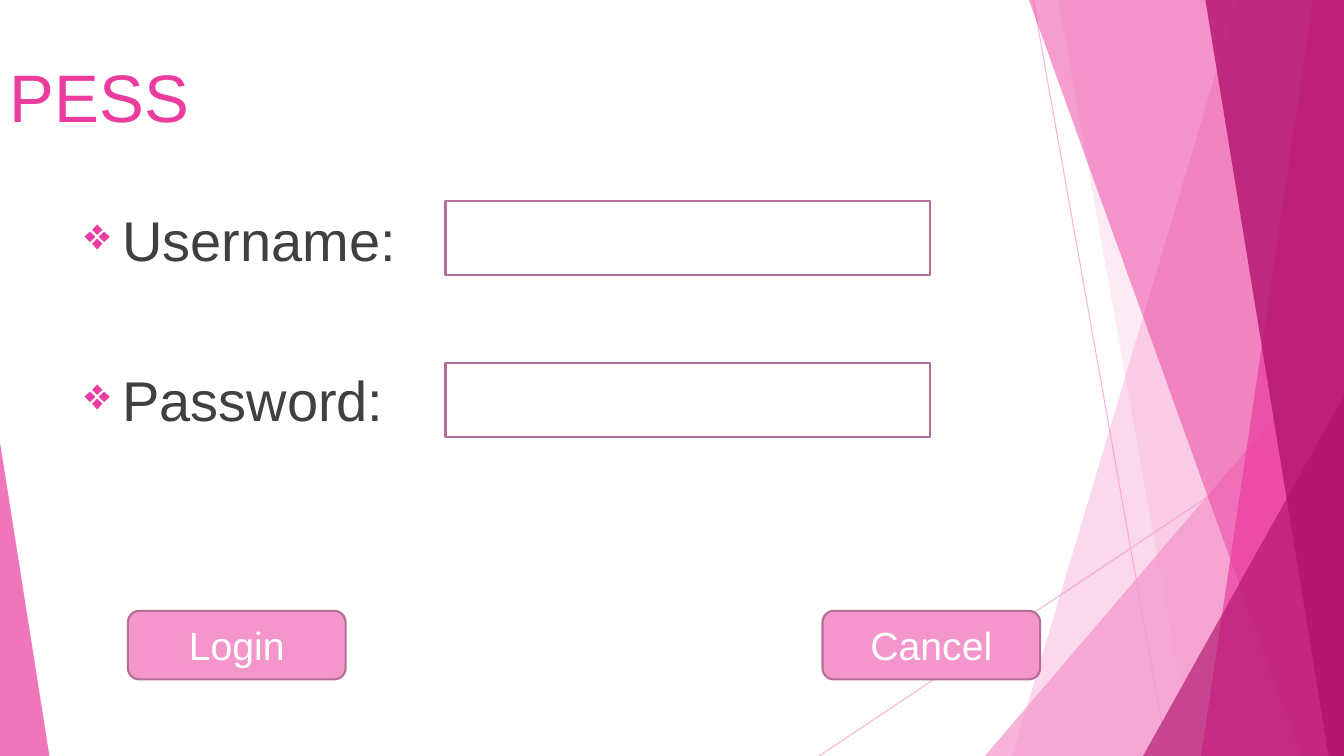
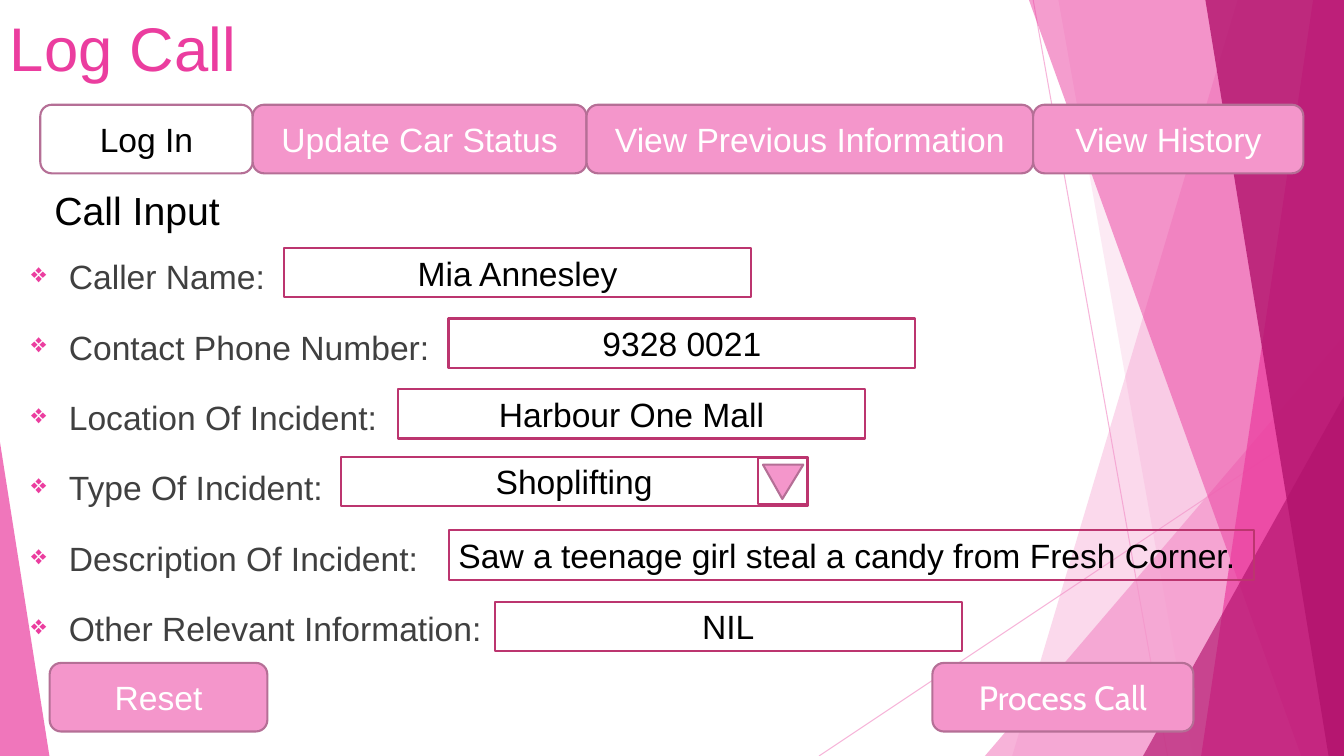
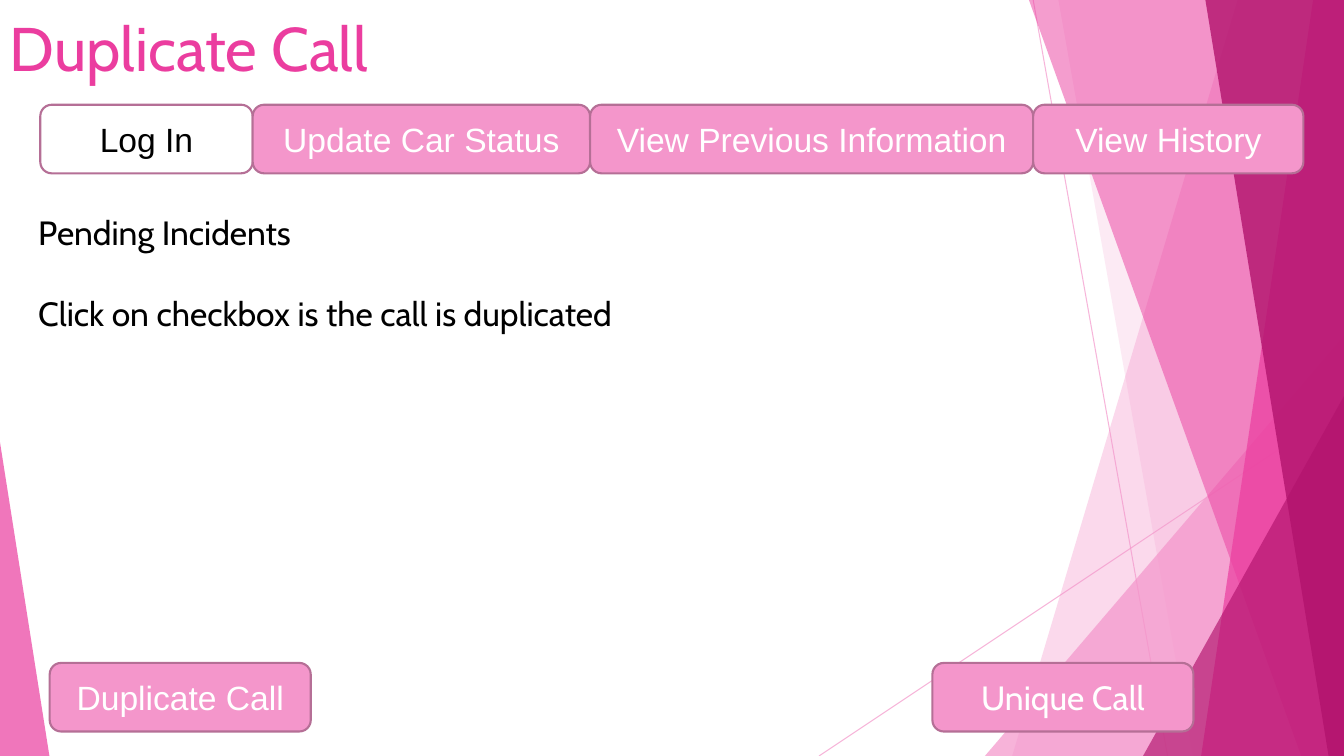
from lxml import etree
from pptx import Presentation
from pptx.dml.color import RGBColor
from pptx.enum import shapes, text
from pptx.oxml import ns
from pptx.util import Pt

HUE = {"rose": "F496CB", "pink": "EB3D9F", "plum": "B2136D", "edge": "B56F96",
       "frame": "BC356F", "grey": "404040", "black": "000000", "white": "FFFFFF"}
KIND = shapes.MSO_SHAPE
FIELD = KIND.FLOWCHART_PROCESS
BUTTON = KIND.FLOWCHART_ALTERNATE_PROCESS


def paint(shape, fill=None, line=None, alpha=100):
    shape.shadow.inherit = False
    if fill:
        shape.fill.solid()
        shape.fill.fore_color.rgb = RGBColor.from_string(HUE[fill])
    else:
        shape.fill.background()
    if line:
        shape.line.color.rgb = RGBColor.from_string(HUE[line])
        shape.line.width = Pt(1.5)
    else:
        shape.line.fill.background()
    if alpha < 100:
        for clr in shape._element.spPr.iter(ns.qn("a:srgbClr")):
            etree.SubElement(clr, ns.qn("a:alpha")).set("val", str(alpha * 1000))


def say(words, slide, box, kind=None, fill=None, line=None, size=24, font="Arial",
        color="black", center=True, middle=True, gap=0, lead=None, bullet=False):
    spot = [Pt(n) for n in box]
    if kind:
        shape = slide.shapes.add_shape(kind, *spot)
        paint(shape, fill, line)
    else:
        shape = slide.shapes.add_textbox(*spot)
    frame = shape.text_frame
    frame.word_wrap = True
    frame.vertical_anchor = text.MSO_ANCHOR.MIDDLE if middle else text.MSO_ANCHOR.TOP
    frame.text = words
    for row, para in enumerate(frame.paragraphs):
        para.alignment = text.PP_ALIGN.CENTER if center else text.PP_ALIGN.LEFT
        para.font.size = Pt(size)
        para.font.name = font
        para.font.color.rgb = RGBColor.from_string(HUE[color])
        if row and gap:
            para.space_before = Pt(gap)
        if lead:
            para.line_spacing = lead
        if bullet:
            props = para._p.get_or_add_pPr()
            props.set("marL", str(Pt(27)))
            props.set("indent", str(Pt(-27)))
            tint = etree.SubElement(props, ns.qn("a:buClr"))
            etree.SubElement(tint, ns.qn("a:srgbClr")).set("val", HUE["pink"])
            etree.SubElement(props, ns.qn("a:buSzPct")).set("val", "80000")
            etree.SubElement(props, ns.qn("a:buChar")).set("char", "❖")
    return shape


deck = Presentation()
deck.slide_width, deck.slide_height = Pt(960), Pt(540)

rays = [(738, 0, 834, 540), (960, 290, 585, 540)]
bands = [
    ("quad", (884, 723), "rose", 36),
    ("quad", (756, 852), "rose", 20),
    ("right", (703.5, 240), "rose", 72),
    ("quad", (735, 929.5), "pink", 50),
    ("quad", (938, 858), "pink", 70),
    ("quad", (861, 949), "plum", 80),
    ("right", (816.5, 283), "plum", 66),
    ("left", (35.3, 316), "pink", 70),
]
titles = [
    ("PESS", (0, 28, 960, 80), 48, "Arial"),
    ("Log Call", (0, 0, 955, 67), 44, "Arial"),
    ("Duplicate Call", (0, 0, 955, 67), 44, "Cabin"),
]

pages = []
for name, box, size, font in titles:
    page = deck.slides.add_slide(deck.slide_layouts[6])
    pages.append(page)
    for ray in rays:
        link = page.shapes.add_connector(
            shapes.MSO_CONNECTOR.STRAIGHT, *[Pt(n) for n in ray])
        link.line.color.rgb = RGBColor.from_string(HUE["rose"])
        link.line.width = Pt(0.75)
        for clr in link._element.spPr.iter(ns.qn("a:srgbClr")):
            etree.SubElement(clr, ns.qn("a:alpha")).set("val", "70000")
        etree.SubElement(link._element.spPr, ns.qn("a:effectLst"))
    for form, (a, b), hue, alpha in bands:
        if form == "quad":
            pen = page.shapes.build_freeform(Pt(a), 0)
            pen.add_line_segments(
                [(Pt(960), 0), (Pt(960), Pt(540)), (Pt(b), Pt(540))], close=True)
            band = pen.convert_to_shape()
        else:
            left, wide = (a, 960 - a) if form == "right" else (0, a)
            band = page.shapes.add_shape(
                KIND.ISOSCELES_TRIANGLE, Pt(left), Pt(b), Pt(wide), Pt(540 - b))
            band.adjustments[0] = 1 if form == "right" else 0
        paint(band, hue, alpha=alpha)
    say(name, page, box, size=size, font=font, color="pink", center=False)

login, log, twin = pages

say("Username:\nPassword:", login, (53.3, 143.3, 265, 178.5), size=40, color="grey",
    center=False, middle=False, gap=66, bullet=True)
for top in (143.3, 259.2):
    say("", login, (318.2, top, 346.3, 53.3), kind=FIELD, fill="white", line="edge")

say("Caller Name:\nContact Phone Number:\nLocation Of Incident:\nType Of Incident:\n"
    "Description Of Incident:\nOther Relevant Information:",
    log, (15.1, 167.8, 676.8, 305.3), color="grey", center=False, middle=False,
    gap=10, lead=1.4, bullet=True)

buttons = [
    (login, "Login", 91.4, 436.3, 155.5, 28, "Arial"),
    (login, "Cancel", 587.5, 436.3, 155.5, 28, "Arial"),
    (log, "Reset", 35.5, 473.5, 155.5, 24, "Arial"),
    (log, "Process Call", 666, 473.5, 186.5, 24, "Cabin"),
    (twin, "Duplicate Call", 35.5, 473.5, 186.5, 24, "Arial"),
    (twin, "Unique Call", 666, 473.5, 186.5, 24, "Cabin"),
]
for page, label, left, top, wide, size, font in buttons:
    say(label, page, (left, top, wide, 49), kind=BUTTON, fill="rose", line="edge",
        size=size, font=font, color="white")

tabs = ["Log In", "Update Car Status", "View Previous Information", "View History"]
for page, split in ((log, 419), (twin, 421.5)):
    edges = [28.8, 180.5, split, 738, 931]
    for tab, left, right in zip(tabs, edges, edges[1:]):
        live = tab == "Log In"
        say(tab, page, (left, 74.8, right - left, 49), kind=BUTTON, line="edge",
            fill=None if live else "rose", color="black" if live else "white")

say("Call Input", log, (20.2, 121.7, 155.5, 56.2), kind=BUTTON, size=28)
fields = [
    ("Mia Annesley", 203, 177.1, 333.4),
    ("9328 0021", 320.4, 227.5, 333.4),
    ("Harbour One Mall", 284.4, 277.9, 333.4),
    ("Shoplifting", 243.4, 326.2, 333.4),
    ("Saw a teenage girl steal a candy from Fresh Corner.", 320.4, 378.7, 575.3),
    ("NIL", 353.5, 429.8, 333.4),
]
for value, left, top, wide in fields:
    say(value, log, (left, top, wide, 35.3), kind=FIELD, line="frame",
        center=wide < 400)
say("", log, (541.4, 326.9, 36, 33.1), kind=FIELD, line="frame")
arrow = say("", log, (545, 331.9, 28.8, 24.5), kind=KIND.ISOSCELES_TRIANGLE,
            fill="rose", line="edge")
arrow.rotation = 180
arrow.adjustments[0] = 0.52

say("Pending Incidents\nClick on checkbox is the call is duplicated", twin,
    (20.2, 147.6, 884.2, 94.3), font="Cabin", center=False, middle=False, gap=29)

deck.save("out.pptx")
